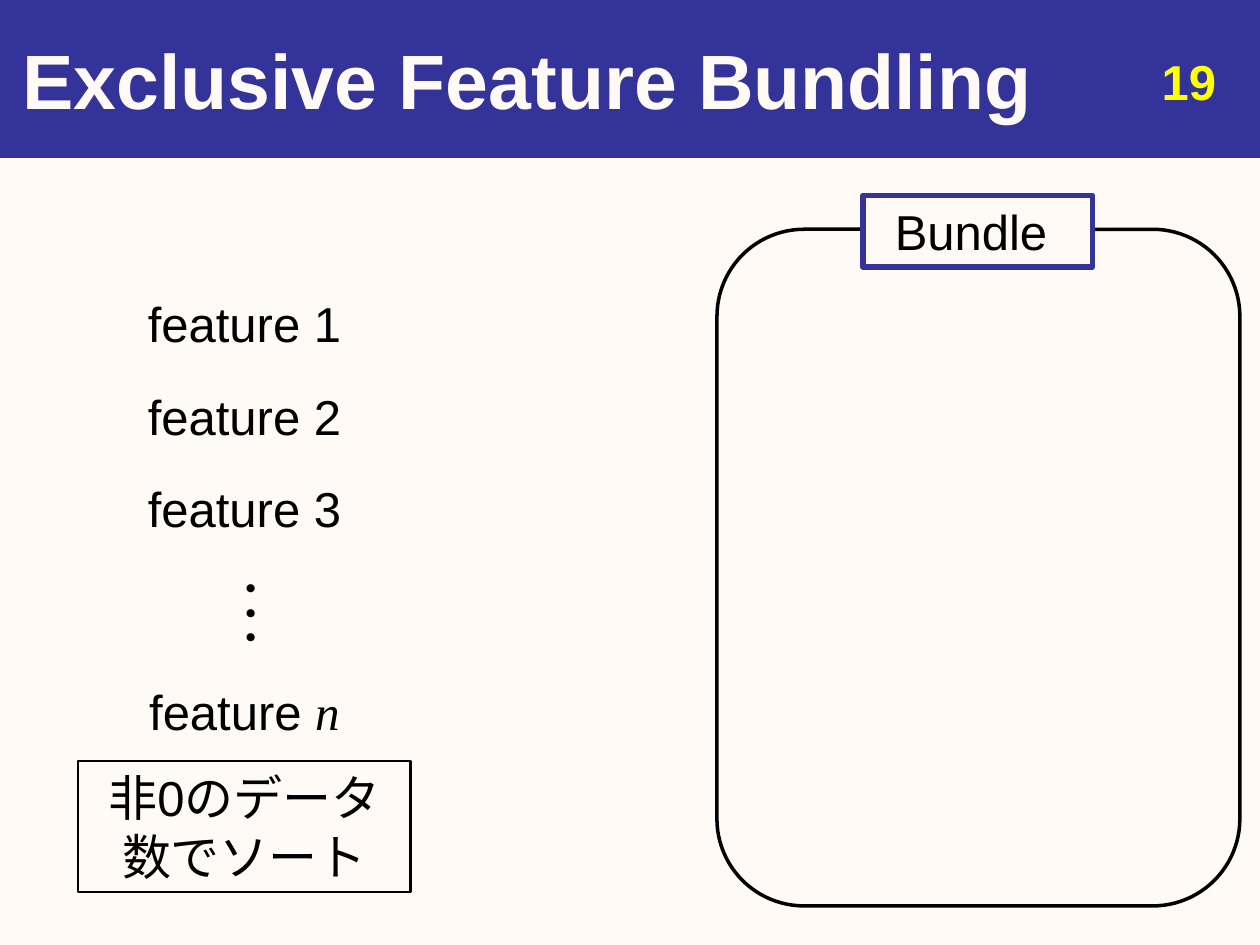
from pptx import Presentation
from pptx.dml.color import RGBColor
from pptx.enum.shapes import MSO_SHAPE
from pptx.enum.text import MSO_ANCHOR, MSO_AUTO_SIZE, PP_ALIGN
from pptx.util import Inches, Pt

RECT, ROUND = MSO_SHAPE.RECTANGLE, MSO_SHAPE.ROUNDED_RECTANGLE
LEFT, MID, RIGHT = PP_ALIGN.LEFT, PP_ALIGN.CENTER, PP_ALIGN.RIGHT
TOP, CENTER = MSO_ANCHOR.TOP, MSO_ANCHOR.MIDDLE
FIXED = MSO_AUTO_SIZE.NONE

TITLE = "Exclusive Feature Bundling"
PAGE = "19"
LABEL = "Bundle "
NOTE = "非0のデータ数でソート"
DOTS = "･･･"
NAMES = ["1", "2", "3"]
LAST = "n"

THEME = {
    "paper": RGBColor.from_string("FFFAF5"),
    "navy": RGBColor.from_string("333399"),
    "ink": RGBColor.from_string("000000"),
    "sun": RGBColor.from_string("FFFF00"),
    "title": {"name": "Arial", "size": Pt(44), "bold": True},
    "page": {"name": "Arial", "size": Pt(28), "bold": True},
    "body": {"name": "Arial", "size": Pt(28), "bold": False},
    "math": {"name": "Times New Roman", "size": Pt(28), "italic": True},
}

WIDE, HIGH, BAND = 10, 7.5, 1.25
COL = {"x": 1.07, "y": 2.28, "w": 1.74, "h": 0.57, "step": 0.735, "last": 5.36}


def write(shape, runs, align=MID, anchor=TOP, wrap=True):
    frame = shape.text_frame
    frame.auto_size = FIXED
    frame.word_wrap = wrap
    frame.vertical_anchor = anchor
    para = frame.paragraphs[0]
    para.alignment = align
    for text, style, color in runs:
        run = para.add_run()
        run.text = text
        for key, val in THEME[style].items():
            setattr(run.font, key, val)
        run.font.color.rgb = THEME[color]
    return frame


def box(slide, at, kind=RECT, fill=None, line="ink", width=1.5):
    shape = slide.shapes.add_shape(kind, *map(Inches, at))
    shape.shadow.inherit = False
    if fill:
        shape.fill.solid()
        shape.fill.fore_color.rgb = THEME[fill]
    else:
        shape.fill.background()
    shape.line.color.rgb = THEME[line]
    shape.line.width = Pt(width)
    return shape


def label(slide, at, runs, **opts):
    return write(slide.shapes.add_textbox(*map(Inches, at)), runs, **opts)


def main():
    deck = Presentation()
    deck.slide_width, deck.slide_height = Inches(WIDE), Inches(HIGH)
    slide = deck.slides.add_slide(deck.slide_layouts[5])
    back = slide.background.fill
    back.solid()
    back.fore_color.rgb = THEME["paper"]

    band = box(slide, (0, 0, WIDE, BAND), fill="navy", line="navy", width=0.75)
    head = slide.shapes.title
    head._element.addprevious(band._element)
    head.left, head.top = Inches(0.08), Inches(0)
    head.width, head.height = Inches(WIDE - 0.08), Inches(BAND)
    write(head, [(TITLE, "title", "paper")], align=LEFT, anchor=CENTER)
    label(slide, (7.42, 0.36, 2.33, 0.52), [(PAGE, "page", "sun")], align=RIGHT)

    note = box(slide, (0.62, 6.04, 2.64, 1.04))
    write(note, [(NOTE, "body", "ink")])

    tops = [COL["y"] + i * COL["step"] for i in range(len(NAMES))]
    for name, top in zip(NAMES, tops):
        label(slide, (COL["x"], top, COL["w"], COL["h"]),
              [("feature " + name, "body", "ink")], wrap=False)
    label(slide, (COL["x"], COL["last"], COL["w"], COL["h"]),
          [("feature ", "body", "ink"), (LAST, "math", "ink")], wrap=False)
    dots = label(slide, (1.61, 4.48, 0.67, 0.73), [(DOTS, "body", "ink")], wrap=False)
    dots._txBody.bodyPr.set("vert", "eaVert")

    box(slide, (5.69, 1.82, 4.15, 5.37), kind=ROUND, width=2)
    tag = box(slide, (6.85, 1.55, 1.82, 0.57), fill="paper", line="navy", width=3)
    write(tag, [(LABEL, "body", "ink")])

    deck.save("out.pptx")


if __name__ == "__main__":
    main()
